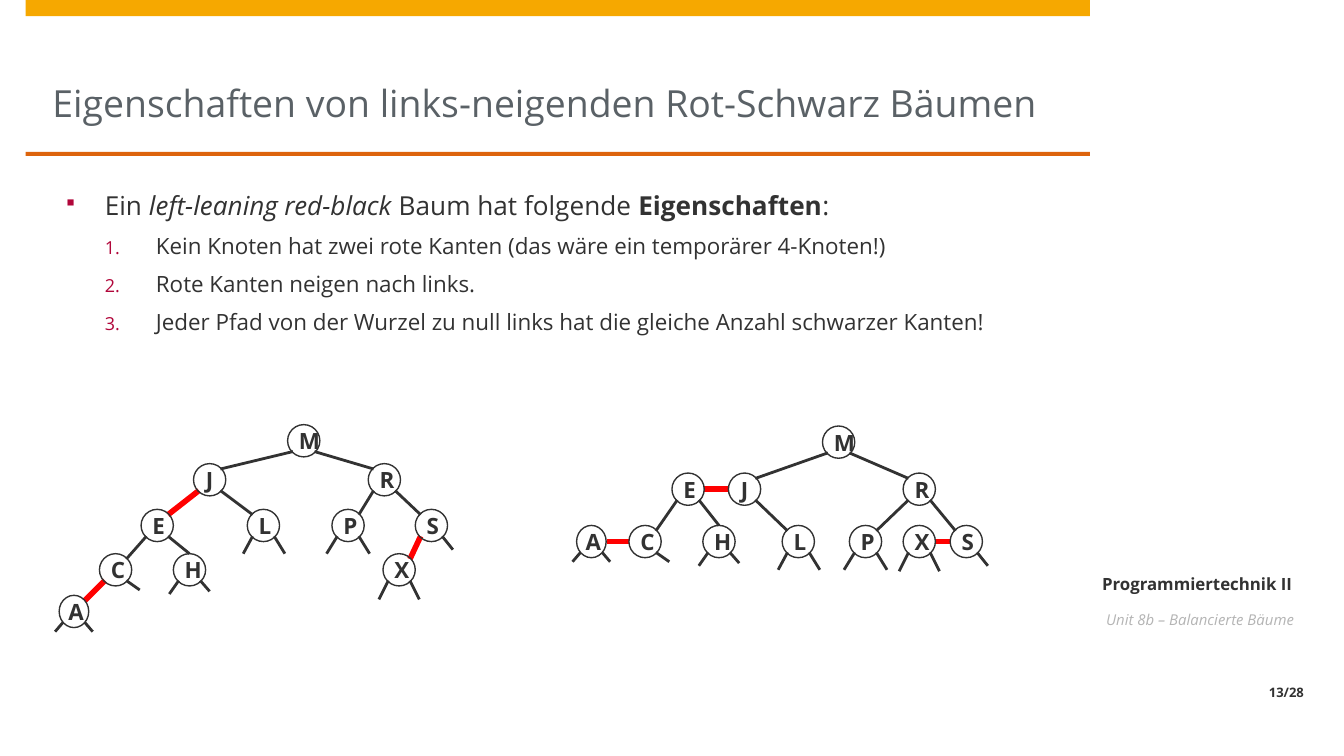
"""Build a slide on the properties of left-leaning red-black trees."""
from dataclasses import dataclass

from lxml.etree import SubElement
from pptx import Presentation
from pptx.dml.color import RGBColor
from pptx.enum.shapes import MSO_CONNECTOR as Connector, MSO_SHAPE as Shape
from pptx.enum.text import MSO_ANCHOR as Anchor, MSO_AUTO_SIZE as AutoSize, PP_ALIGN as Align
from pptx.oxml.ns import qn
from pptx.util import Inches, Pt


@dataclass(frozen=True)
class Theme:
    font: str = "Open Sans"
    bullet_font: str = "Wingdings"
    ink: str = "323232"
    title: str = "5A6166"
    muted: str = "B4B4B4"
    bullet: str = "B1063A"
    red: str = "FF0000"
    band: str = "F6A800"
    rule: str = "DD640C"
    title_size: int = 20
    lead_size: int = 14
    item_size: int = 12
    node_size: int = 12
    course_size: int = 9
    unit_size: int = 8
    number_size: int = 7
    outline: float = 0.75
    black_edge: float = 1.5
    red_edge: float = 3


theme = Theme()


def style(para, size, color, bold=False, italic=False, gap=3):
    para.space_before = para.space_after = Pt(gap)
    for span in para.runs:
        span.font.name = theme.font
        span.font.size = Pt(size)
        span.font.color.rgb = RGBColor.from_string(color)
        span.font.bold = bold
        span.font.italic = italic


def draw_edge(page, start, end, color=theme.ink, width=theme.black_edge):
    edge = page.shapes.add_connector(Connector.STRAIGHT, *(Inches(v) for v in (*start, *end)))
    edge.line.color.rgb = RGBColor.from_string(color)
    edge.line.width = Pt(width)
    SubElement(edge._element.spPr, qn("a:effectLst"))


deck = Presentation()
deck.slide_width = Inches(10)
deck.slide_height = deck.slide_width * 9 // 16
page = deck.slides.add_slide(deck.slide_layouts[1])
title, body = page.placeholders

for top, height, color in ((0, 0.12, theme.band), (1.13, 0.03, theme.rule)):
    bar = page.shapes.add_shape(Shape.RECTANGLE, Inches(0.19), Inches(top), Inches(7.92), Inches(height))
    bar.shadow.inherit = False
    bar.fill.solid()
    bar.fill.fore_color.rgb = RGBColor.from_string(color)
    bar.line.fill.background()

title.left, title.top, title.width, title.height = Inches(0.39), Inches(0.12), Inches(7.52), Inches(1.01)
frame = title.text_frame
frame.text = "Eigenschaften von links-neigenden Rot-Schwarz Bäumen"
frame.auto_size = AutoSize.NONE
frame.vertical_anchor = Anchor.BOTTOM
frame.margin_left = frame.margin_top = frame.margin_right = 0
frame.margin_bottom = Inches(0.2)
frame.paragraphs[0].alignment = Align.LEFT
style(frame.paragraphs[0], theme.title_size, theme.title, gap=0)

body.left, body.top, body.width, body.height = Inches(0.39), Inches(1.36), Inches(7.52), Inches(1.46)
frame = body.text_frame
frame.auto_size = AutoSize.NONE
lead = frame.paragraphs[0]
for text in ("Ein ", "left-leaning red-black", " Baum hat folgende ", "Eigenschaften", ":"):
    lead.add_run().text = text
style(lead, theme.lead_size, theme.ink)
lead.runs[1].font.italic = True
lead.runs[3].font.bold = True
for text in (
    "Kein Knoten hat zwei rote Kanten (das wäre ein temporärer 4-Knoten!)",
    "Rote Kanten neigen nach links.",
    "Jeder Pfad von der Wurzel zu null links hat die gleiche Anzahl schwarzer Kanten!",
):
    para = frame.add_paragraph()
    para.text = text
    para.level = 1
    style(para, theme.item_size, theme.ink)

for para in frame.paragraphs:
    para.line_spacing = 1.0
    margin, hang = (0.67, 0.38) if para.level else (0.29, 0.29)
    props = para._p.get_or_add_pPr()
    props.set("marL", str(Inches(margin)))
    props.set("indent", str(-Inches(hang)))
    SubElement(SubElement(props, qn("a:buClr")), qn("a:srgbClr"), val=theme.bullet)
    SubElement(props, qn("a:buSzPct"), val="80000")
    if para.level:
        SubElement(props, qn("a:buFont"), typeface=theme.font)
        SubElement(props, qn("a:buAutoNum"), type="arabicPeriod")
    else:
        SubElement(props, qn("a:buFont"), typeface=theme.bullet_font, charset="2")
        SubElement(props, qn("a:buChar"), char="§")

for text, top, height, inset, anchor, align, size, color, bold, italic in (
    ("Programmiertechnik II", 3.9, 0.57, 0, Anchor.BOTTOM, Align.CENTER,
     theme.course_size, theme.ink, True, False),
    ("Unit 8b – Balancierte Bäume", 4.54, 0.52, 0.12, Anchor.TOP, Align.LEFT,
     theme.unit_size, theme.muted, False, True),
    ("13/28", 5.06, 0.2, 0.12, Anchor.BOTTOM, Align.RIGHT,
     theme.number_size, theme.ink, True, False),
):
    box = page.shapes.add_textbox(Inches(8.11), Inches(top), Inches(1.69), Inches(height))
    frame = box.text_frame
    frame.text = text
    frame.word_wrap = True
    frame.vertical_anchor = anchor
    frame.margin_left, frame.margin_top = Inches(inset), 0
    frame.margin_right, frame.margin_bottom = Inches(0.1), Inches(0.05)
    frame.paragraphs[0].alignment = align
    style(frame.paragraphs[0], size, color, bold, italic)

radius, diagonal = 0.12, 0.08
children = {"M": "JR", "J": "EL", "R": "PS", "E": "CH", "C": "A", "S": "X"}
red_links = {"JE", "CA", "SX"}
null_links = {
    "A": ((-0.06, 0.07), (0.06, 0.07)),
    "C": ((0.1, 0.07),),
    "H": ((-0.07, 0.1), (0.07, 0.08)),
    "L": ((-0.07, 0.13), (0.08, 0.13)),
    "P": ((-0.08, 0.13), (0.08, 0.13)),
    "S": ((0.08, 0.1),),
    "X": ((-0.07, 0.14), (0.07, 0.14)),
}
red_black_tree = {
    "M": (2.26, 3.28), "J": (1.56, 3.57), "R": (2.86, 3.57), "E": (1.17, 3.91),
    "L": (1.96, 3.91), "P": (2.59, 3.91), "S": (3.21, 3.91), "C": (0.86, 4.24),
    "H": (1.41, 4.24), "X": (2.97, 4.24), "A": (0.55, 4.55),
}
two_three_tree = {
    "M": (6.24, 3.29), "E": (5.12, 3.64), "J": (5.54, 3.64), "R": (6.84, 3.64),
    "A": (4.4, 4.03), "C": (4.8, 4.03), "H": (5.35, 4.03), "L": (5.94, 4.03),
    "P": (6.44, 4.03), "X": (6.84, 4.03), "S": (7.19, 4.03),
}

for tree in (red_black_tree, two_three_tree):
    for parent, names in children.items():
        x, y = tree[parent]
        for child, side in zip(names, (-1, 1)):
            child_x, child_y = tree[child]
            start = (x + side * diagonal, y + diagonal)
            end = (child_x - side * diagonal, child_y - diagonal)
            if child_y == y:
                start, end = (x - radius, y), (child_x + radius, y)
            elif child == "H":
                end = (child_x, child_y - radius)
            if parent + child in red_links:
                draw_edge(page, start, end, theme.red, theme.red_edge)
            else:
                draw_edge(page, start, end)

    for name, (x, y) in tree.items():
        for dx, dy in null_links.get(name, ()):
            start = (x + (diagonal if dx > 0 else -diagonal), y + diagonal)
            draw_edge(page, start, (start[0] + dx, start[1] + dy))
        half = 0.11 if name == "A" else radius
        node = page.shapes.add_shape(
            Shape.OVAL, Inches(x - half), Inches(y - radius), Inches(2 * half), Inches(2 * radius))
        node.shadow.inherit = False
        node.fill.background()
        node.line.color.rgb = RGBColor.from_string(theme.ink)
        node.line.width = Pt(theme.outline)
        frame = node.text_frame
        frame.text = name
        frame.vertical_anchor = Anchor.MIDDLE
        frame.margin_left = frame.margin_right = Inches(0.12)
        frame.margin_top = frame.margin_bottom = Inches(0.08)
        frame.paragraphs[0].alignment = Align.CENTER
        style(frame.paragraphs[0], theme.node_size, theme.ink, bold=True)

deck.save("out.pptx")
